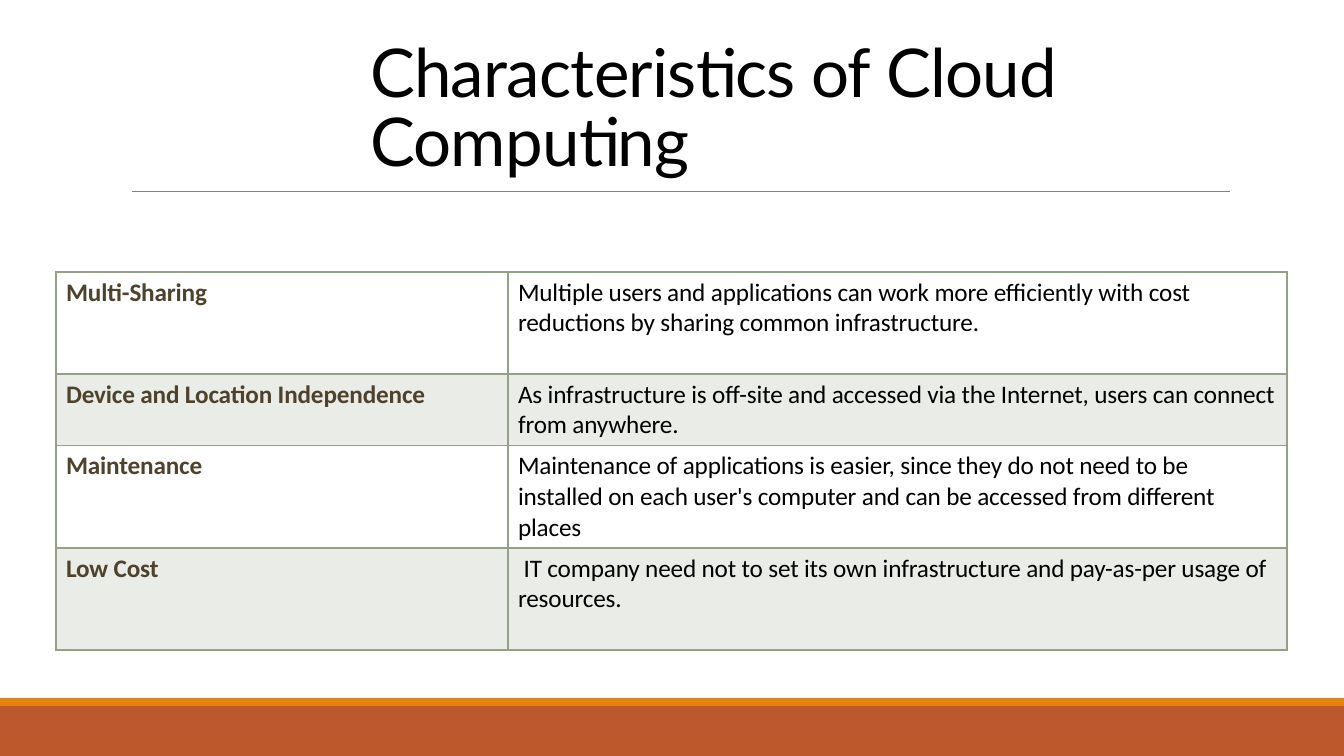
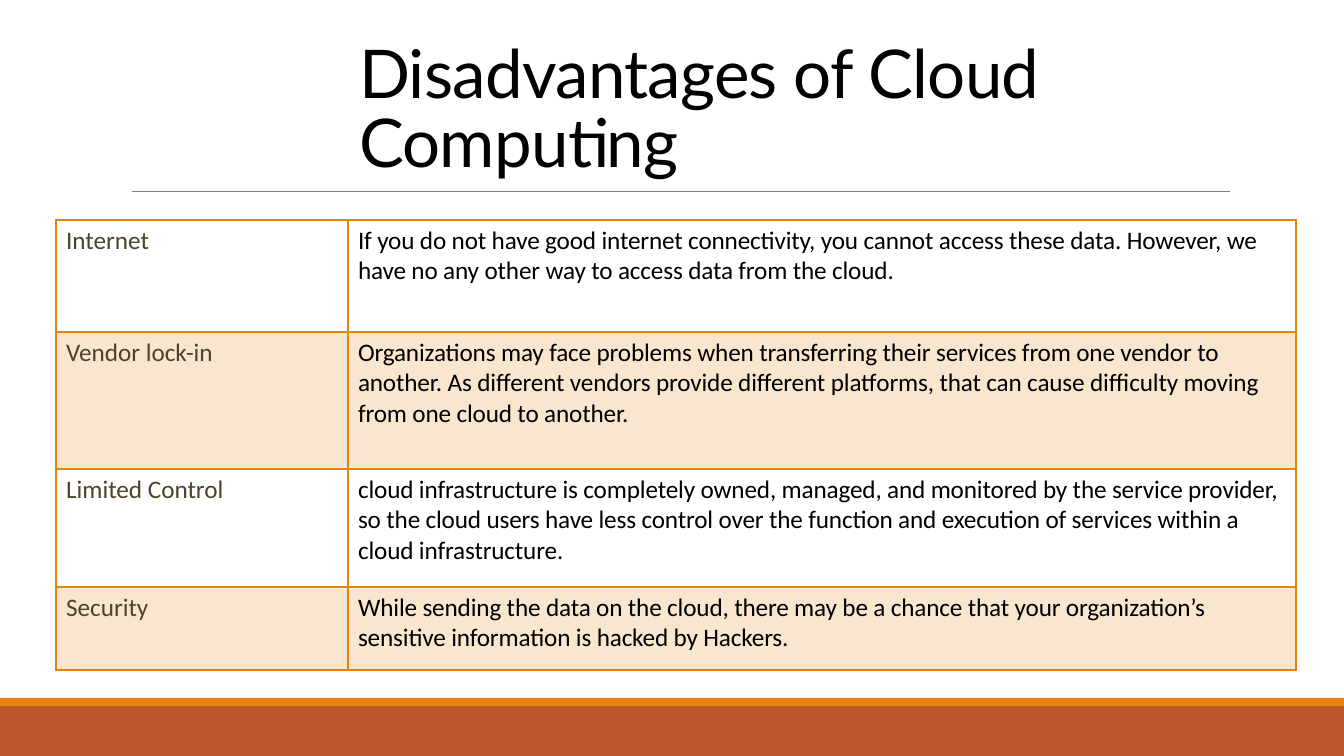
from lxml import etree
from pptx import Presentation
from pptx.dml.color import RGBColor
from pptx.enum.shapes import MSO_CONNECTOR, MSO_SHAPE
from pptx.enum.text import MSO_ANCHOR, MSO_AUTO_SIZE, PP_ALIGN
from pptx.oxml.ns import qn
from pptx.util import Emu, Pt

COLORS = {
    "text": "000000",
    "label": "4E422C",
    "rule": "808080",
    "sage": "94A088",
    "orange": "E48312",
    "rust": "BD582C",
}
WIDTH, HEIGHT = 1344, 756


def px(length):
    return Emu(round(length * 12192000 / WIDTH))


def rgb(name):
    return RGBColor.from_string(COLORS[name])


class Deck:
    """Holds the shared style and the slide being built."""

    title_font = {"name": "Lato", "size": Pt(48), "bold": False}
    cell_font = {"name": "Calibri", "size": Pt(18)}

    def __init__(self):
        self.prs = Presentation()
        self.prs.slide_width, self.prs.slide_height = px(WIDTH), px(HEIGHT)
        self.slide = None

    def add_slide(self):
        self.slide = self.prs.slides.add_slide(self.prs.slide_layouts[5])
        self.band(706, 50, "rust")
        self.band(698, 8, "orange")
        self.rule(132, 1230, 191)

    def band(self, top, height, color):
        band = self.slide.shapes.add_shape(
            MSO_SHAPE.RECTANGLE, 0, px(top), px(WIDTH), px(height))
        band.shadow.inherit = False
        band.fill.solid()
        band.fill.fore_color.rgb = rgb(color)
        band.line.fill.background()

    def rule(self, left, right, y):
        rule = self.slide.shapes.add_connector(
            MSO_CONNECTOR.STRAIGHT, px(left), px(y), px(right), px(y))
        rule.line.color.rgb = rgb("rule")
        rule.line.width = Pt(0.5)
        etree.SubElement(rule._element.spPr, qn("a:effectLst"))

    def style_run(self, run, font, color, tracking):
        for key, value in font.items():
            setattr(run.font, key, value)
        run.font.color.rgb = rgb(color)
        # Letter spacing, in hundredths of a point
        run._r.get_or_add_rPr().set("spc", str(tracking))

    def title(self, text, left, top, width, height):
        title = self.slide.shapes.title
        box = {"left": left, "top": top, "width": width, "height": height}
        for key, value in box.items():
            setattr(title, key, px(value))
        frame = title.text_frame
        frame_format = {"word_wrap": True, "auto_size": MSO_AUTO_SIZE.NONE,
                        "vertical_anchor": MSO_ANCHOR.BOTTOM}
        for key, value in frame_format.items():
            setattr(frame, key, value)
        heading = frame.paragraphs[0]
        heading.alignment = PP_ALIGN.LEFT
        heading.line_spacing = 0.85
        run = heading.add_run()
        run.text = text
        self.style_run(run, self.title_font, "text", -50)

    def cell_borders(self, cell, color, widths):
        properties = cell._tc.get_or_add_tcPr()
        for side, width in widths.items():
            line = etree.SubElement(properties, qn(f"a:ln{side}"), w=str(Pt(width)))
            fill = etree.SubElement(line, qn("a:solidFill"))
            etree.SubElement(fill, qn("a:srgbClr"), val=COLORS[color])

    def tint(self, cell, color, percent):
        cell.fill.solid()
        cell.fill.fore_color.rgb = rgb(color)
        shade = cell._tc.tcPr.find(f"{qn('a:solidFill')}/{qn('a:srgbClr')}")
        etree.SubElement(shade, qn("a:alpha"), val=str(percent * 1000))

    def table(self, rows, left, top, columns, heights, color, bold, label_tracking):
        table = self.slide.shapes.add_table(
            len(rows), len(columns), px(left), px(top),
            px(sum(columns)), px(sum(heights))).table
        table.first_row = table.horz_banding = False
        for column, width in zip(table.columns, columns):
            column.width = px(width)
        for row, height in zip(table.rows, heights):
            row.height = px(height)
        styles = (("label", bold, label_tracking), ("text", False, -10))
        for r, texts in enumerate(rows):
            # The first row is closed by a heavier line
            widths = {"L": 1, "R": 1, "T": 2 if r == 1 else 1, "B": 2 if r == 0 else 1}
            for c, (text, (ink, strong, tracking)) in enumerate(zip(texts, styles)):
                cell = table.cell(r, c)
                self.cell_borders(cell, color, widths)
                if r % 2:
                    self.tint(cell, color, 20)
                else:
                    cell.fill.background()
                run = cell.text_frame.paragraphs[0].add_run()
                run.text = text
                self.style_run(run, {**self.cell_font, "bold": strong}, ink, tracking)


CHARACTERISTICS = [
    ("Multi-Sharing",
     "Multiple users and applications can work more efficiently with cost "
     "reductions by sharing common infrastructure."),
    ("Device and Location Independence",
     "As infrastructure is off-site and accessed via the Internet, users can "
     "connect from anywhere."),
    ("Maintenance",
     "Maintenance of applications is easier, since they do not need to be "
     "installed on each user's computer and can be accessed from different places"),
    ("Low Cost",
     " IT company need not to set its own infrastructure and pay-as-per usage "
     "of resources."),
]
DISADVANTAGES = [
    ("Internet",
     "If you do not have good internet connectivity, you cannot access these "
     "data. However, we have no any other way to access data from the cloud."),
    ("Vendor lock-in",
     "Organizations may face problems when transferring their services from one "
     "vendor to another. As different vendors provide different platforms, that "
     "can cause difficulty moving from one cloud to another."),
    ("Limited Control",
     "cloud infrastructure is completely owned, managed, and monitored by the "
     "service provider, so the cloud users have less control over the function "
     "and execution of services within a cloud infrastructure."),
    ("Security",
     "While sending the data on the cloud, there may be a chance that your "
     "organization’s sensitive information is hacked by Hackers."),
]


def main():
    deck = Deck()

    # Characteristics
    deck.add_slide()
    deck.title("Characteristics of Cloud Computing", 360, 25, 798, 160)
    deck.table(CHARACTERISTICS, 56, 272, (452, 779), (102, 71, 102, 102),
               "sage", bold=True, label_tracking=-10)

    # Disadvantages
    deck.add_slide()
    deck.title("Disadvantages of Cloud Computing", 349, 26, 768, 160)
    deck.table(DISADVANTAGES, 56, 220, (292, 948), (112, 137, 118, 83),
               "orange", bold=False, label_tracking=0)

    deck.prs.save("out.pptx")


if __name__ == "__main__":
    main()
